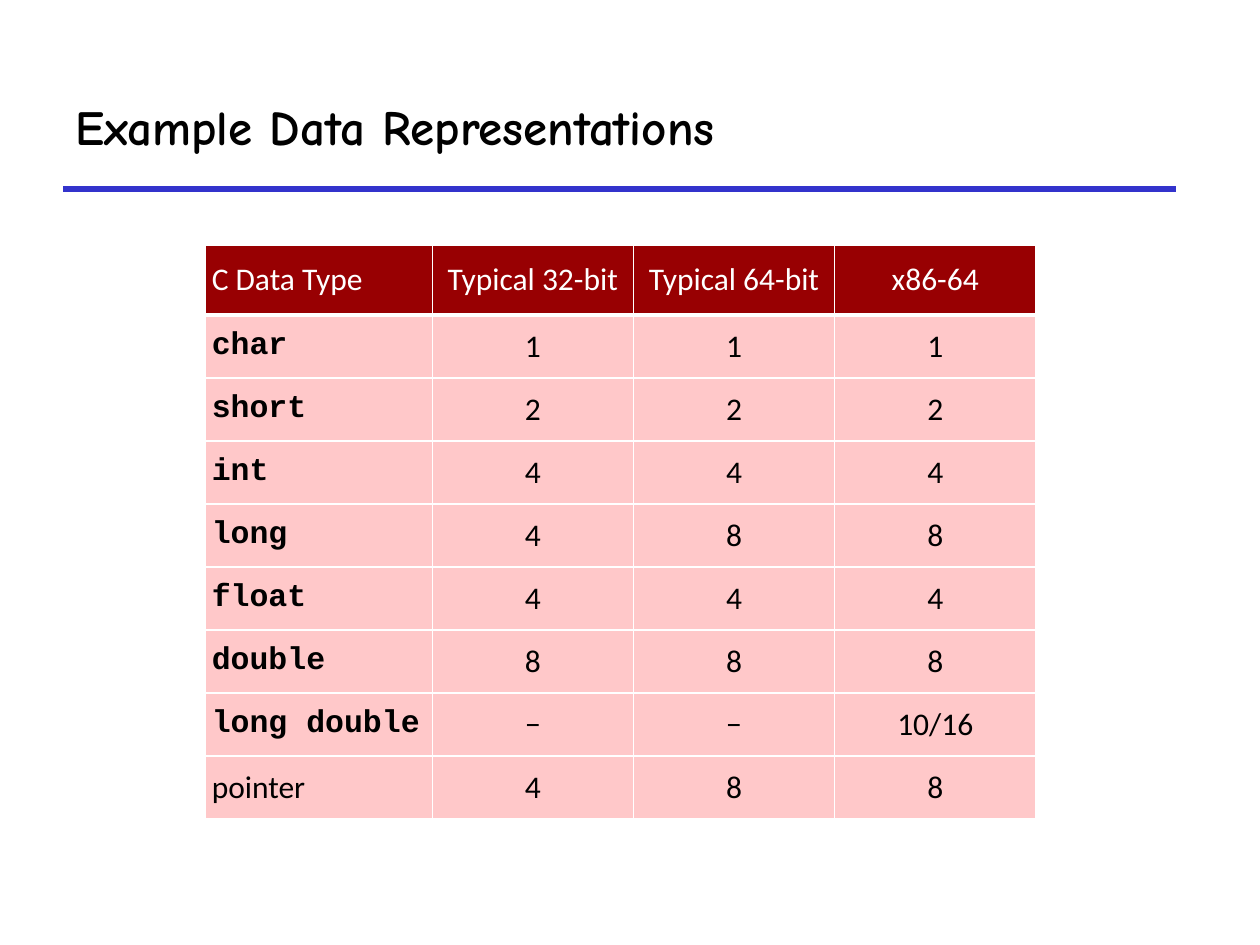
"""Build a slide with a table of C data type sizes in bytes."""
import pptx
import pptx.dml.color
import pptx.enum.shapes
import pptx.enum.text
import pptx.oxml
import pptx.oxml.ns
import pptx.util

Pt = pptx.util.Pt
Color = pptx.dml.color.RGBColor
Align = pptx.enum.text.PP_ALIGN
Anchor = pptx.enum.text.MSO_ANCHOR

BLACK = Color(0x00, 0x00, 0x00)
WHITE = Color(0xFF, 0xFF, 0xFF)
BLUE = Color(0x33, 0x33, 0xCC)
RED = Color(0x98, 0x00, 0x02)
PINK = Color(0xFF, 0xC8, 0xC9)

ROWS = [
    ("C Data Type", "Typical 32-bit", "Typical 64-bit", "x86-64"),
    ("char", "1", "1", "1"),
    ("short", "2", "2", "2"),
    ("int", "4", "4", "4"),
    ("long", "4", "8", "8"),
    ("float", "4", "4", "4"),
    ("double", "8", "8", "8"),
    ("long double", "−", "−", "10/16"),
    ("pointer", "4", "8", "8"),
]
WIDTHS = [130, 115, 115, 115]
HEIGHTS = [40] + [36] * 8


def set_edge(cell, index, side, width):
    edge = pptx.oxml.parse_xml(
        f'<a:ln{side} {pptx.oxml.ns.nsdecls("a")} w="{Pt(width)}">'
        f'<a:solidFill><a:srgbClr val="{WHITE}"/></a:solidFill></a:ln{side}>'
    )
    cell._tc.get_or_add_tcPr().insert(index, edge)


deck = pptx.Presentation()
deck.slide_width, deck.slide_height = Pt(720), Pt(540)
slide = deck.slides.add_slide(deck.slide_layouts[5])

rule = slide.shapes.add_connector(
    pptx.enum.shapes.MSO_CONNECTOR.STRAIGHT, Pt(36), Pt(108), Pt(672), Pt(108)
)
rule.line.color.rgb = BLUE
rule.line.width = Pt(3)
rule._element.spPr.append(
    pptx.oxml.parse_xml(f'<a:effectLst {pptx.oxml.ns.nsdecls("a")}/>')
)

title = slide.shapes.title
title.left, title.top, title.width, title.height = Pt(36), Pt(36), Pt(636), Pt(72)
title.text_frame.text = "Example Data Representations"
title.text_frame.vertical_anchor = Anchor.MIDDLE
para = title.text_frame.paragraphs[0]
para.alignment = Align.LEFT
para.font.name = "Comic Neue"
para.font.size = Pt(28)
para.font.bold = True
para.font.color.rgb = BLACK

table = slide.shapes.add_table(
    len(ROWS), len(WIDTHS), Pt(117), Pt(140), Pt(sum(WIDTHS)), Pt(sum(HEIGHTS))
).table
for column, width in zip(table.columns, WIDTHS):
    column.width = Pt(width)

for r, (texts, height) in enumerate(zip(ROWS, HEIGHTS)):
    table.rows[r].height = Pt(height)
    for c, text in enumerate(texts):
        cell = table.cell(r, c)
        cell.text = text
        cell.vertical_anchor = Anchor.MIDDLE
        cell.margin_left = cell.margin_right = Pt(4)
        cell.margin_top = cell.margin_bottom = Pt(4)
        cell.fill.solid()
        cell.fill.fore_color.rgb = RED if r == 0 else PINK
        code = c == 0 and 0 < r < len(ROWS) - 1
        para = cell.text_frame.paragraphs[0]
        para.alignment = Align.LEFT if c == 0 else Align.CENTER
        para.font.name = "Courier New" if code else "Calibri"
        para.font.size = Pt(18)
        para.font.bold = code
        para.font.color.rgb = WHITE if r == 0 else BLACK
        above = 3 if r == 1 else 1
        below = 3 if r == 0 else 1
        for index, (side, width) in enumerate(zip("LRTB", (1, 1, above, below))):
            set_edge(cell, index, side, width)

deck.save("out.pptx")
